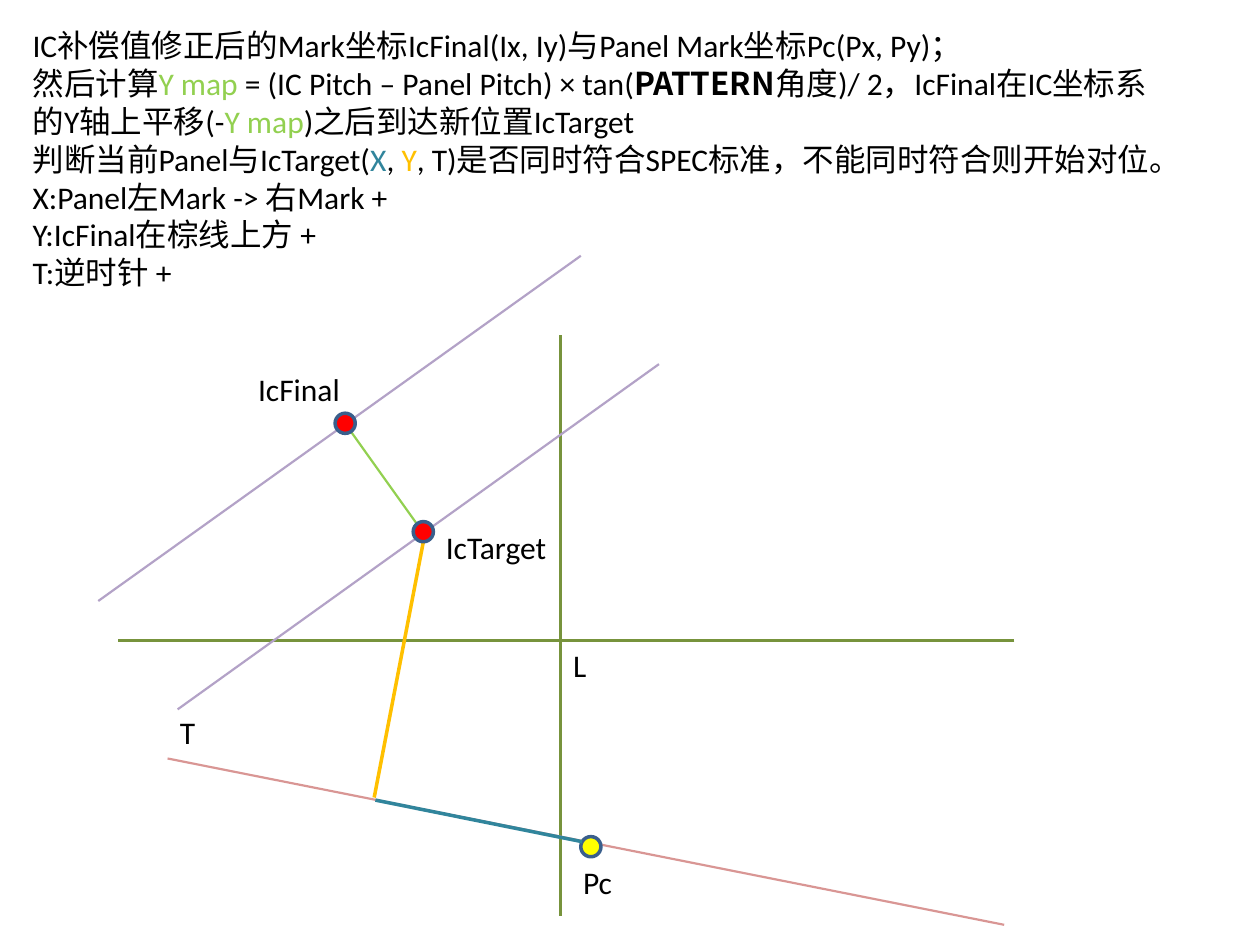
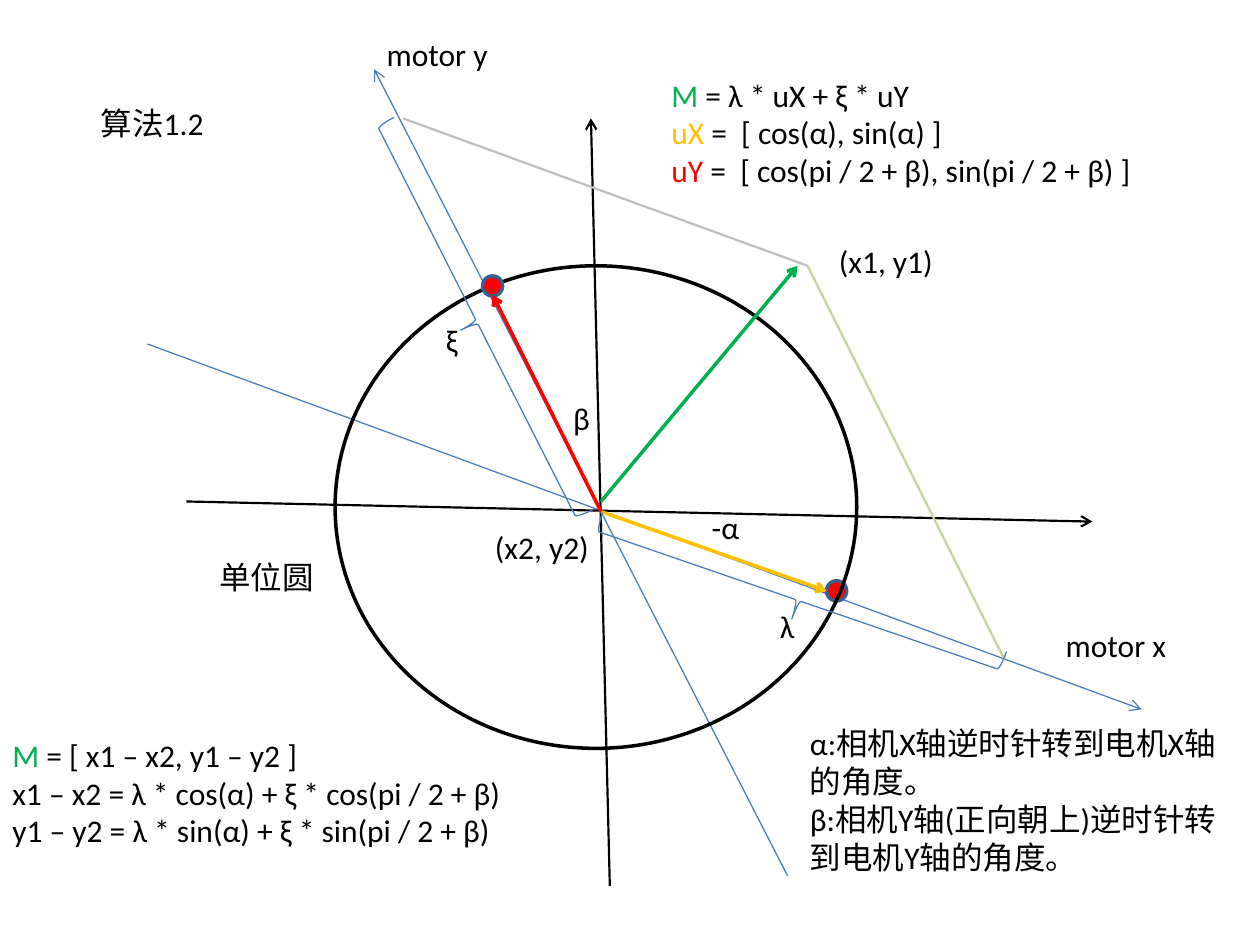
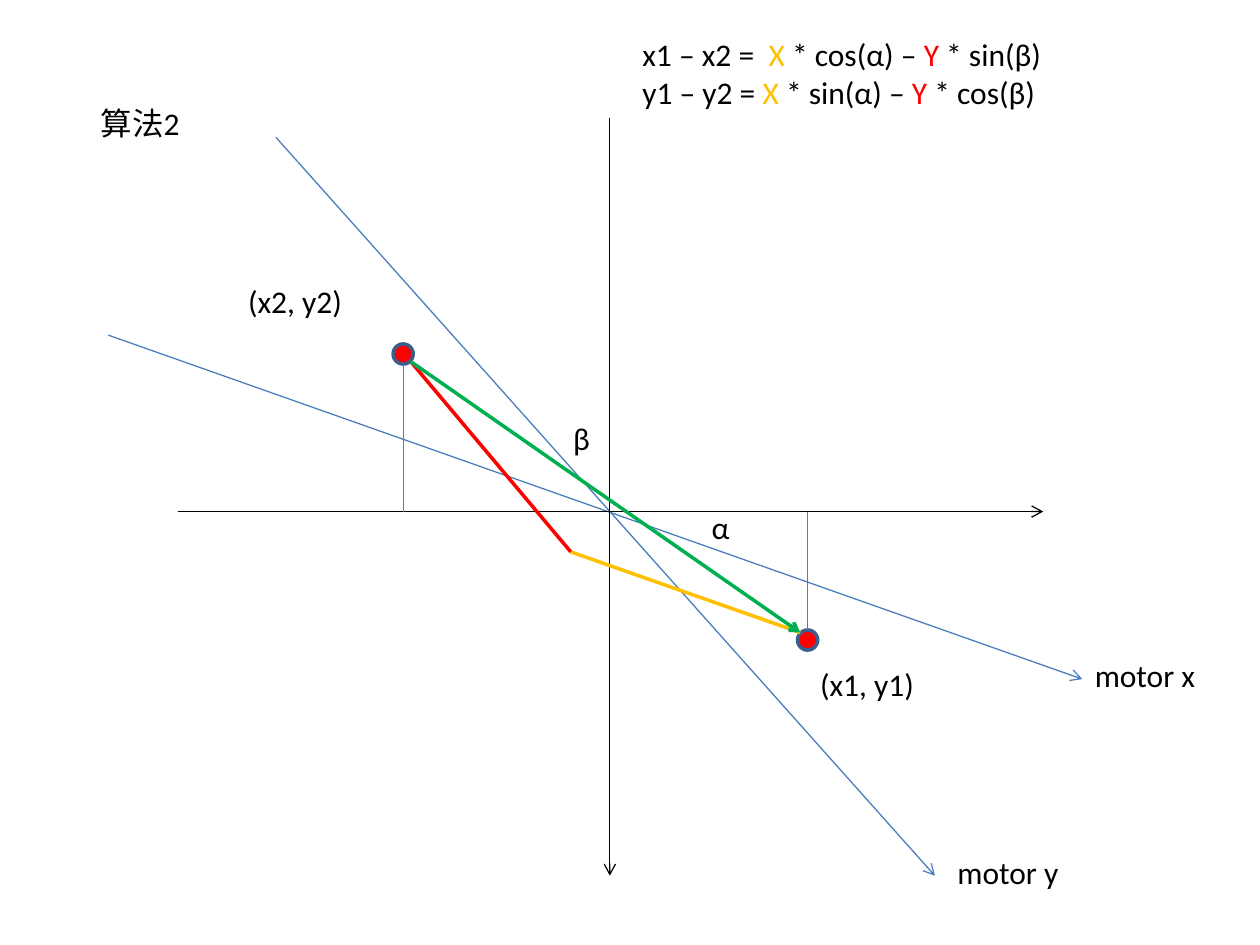
from dataclasses import dataclass
from typing import Callable, Union

import pptx
import pptx.dml.color
import pptx.enum.shapes
import pptx.enum.text
import pptx.oxml
import pptx.oxml.ns
import pptx.presentation
import pptx.shapes.autoshape
import pptx.shapes.connector
import pptx.slide
import pptx.util

RGB = pptx.dml.color.RGBColor
MSO_SHAPE = pptx.enum.shapes.MSO_SHAPE

PX = 9144
SLIDE_WIDTH, SLIDE_HEIGHT = 1000, 750
DOT_SIZE = 16

BLACK = RGB(0x00, 0x00, 0x00)
RED = RGB(0xFF, 0x00, 0x00)
YELLOW = RGB(0xFF, 0xFF, 0x00)
GOLD = RGB(0xFF, 0xC0, 0x00)
GREEN = RGB(0x00, 0xB0, 0x50)
LIME = RGB(0x92, 0xD0, 0x50)
OLIVE = RGB(0x77, 0x93, 0x3C)
PALE_OLIVE = RGB(0xC3, 0xD6, 0x9B)
TEAL = RGB(0x31, 0x85, 0x9C)
LILAC = RGB(0xB3, 0xA2, 0xC7)
ROSE = RGB(0xD9, 0x96, 0x94)
GRAY = RGB(0xBF, 0xBF, 0xBF)
BLUE = RGB(0x4B, 0x7E, 0xBC)
DOT_EDGE = RGB(0x3A, 0x5F, 0x8C)

BODY_FONT = {"name": "Calibri", "size": pptx.util.Pt(18), "bold": False}
STRONG_FONT = {"name": "Noto Sans CJK KR", "size": pptx.util.Pt(18), "bold": True}
FRAME_FORMAT = {
    "word_wrap": True,
    "auto_size": pptx.enum.text.MSO_AUTO_SIZE.SHAPE_TO_FIT_TEXT,
}


@dataclass(frozen=True)
class Run:
    text: str
    color: RGB = BLACK
    strong: bool = False


Paragraph = tuple[Union[str, Run], ...]


@dataclass(frozen=True)
class Label:
    left: int
    top: int
    width: int
    height: int
    paragraphs: tuple[Paragraph, ...]


@dataclass(frozen=True)
class Segment:
    start: tuple[int, int]
    end: tuple[int, int]
    color: RGB
    weight: float
    arrow: str = ""


@dataclass(frozen=True)
class Dot:
    left: int
    top: int
    fill: RGB = RED


@dataclass(frozen=True)
class Outline:
    kind: MSO_SHAPE
    left: int
    top: int
    width: int
    height: int
    color: RGB
    weight: float
    rotation: float = 0


Item = Union[Label, Segment, Dot, Outline]


def word(left: int, top: int, text: str, width: int = 109) -> Label:
    return Label(left, top, width, 40, ((text,),))


def apply_format(target: object, values: dict[str, object]) -> None:
    for name, value in values.items():
        setattr(target, name, value)


def draw_label(slide: pptx.slide.Slide, label: Label) -> None:
    box = slide.shapes.add_textbox(
        label.left * PX, label.top * PX, label.width * PX, label.height * PX
    )
    frame = box.text_frame
    apply_format(frame, FRAME_FORMAT)
    for index, pieces in enumerate(label.paragraphs):
        paragraph = frame.add_paragraph() if index else frame.paragraphs[0]
        for piece in pieces:
            wording = Run(piece) if isinstance(piece, str) else piece
            run = paragraph.add_run()
            run.text = wording.text
            apply_format(run.font, STRONG_FONT if wording.strong else BODY_FONT)
            run.font.color.rgb = wording.color


def set_line(
    shape: Union[pptx.shapes.autoshape.Shape, pptx.shapes.connector.Connector],
    color: RGB,
    weight: float,
) -> None:
    shape.line.color.rgb = color
    shape.line.width = pptx.util.Pt(weight)


def draw_segment(slide: pptx.slide.Slide, segment: Segment) -> None:
    ends = [value * PX for value in segment.start + segment.end]
    connector = slide.shapes.add_connector(
        pptx.enum.shapes.MSO_CONNECTOR.STRAIGHT, *ends
    )
    set_line(connector, segment.color, segment.weight)
    properties = connector.line._get_or_add_ln()
    if segment.arrow:
        tip = pptx.oxml.parse_xml(
            f'<a:{segment.arrow} {pptx.oxml.ns.nsdecls("a")} type="arrow"/>'
        )
        properties.append(tip)
    properties.addnext(
        pptx.oxml.parse_xml(f'<a:effectLst {pptx.oxml.ns.nsdecls("a")}/>')
    )


def draw_outline(
    slide: pptx.slide.Slide, outline: Outline
) -> pptx.shapes.autoshape.Shape:
    shape = slide.shapes.add_shape(
        outline.kind,
        outline.left * PX,
        outline.top * PX,
        outline.width * PX,
        outline.height * PX,
    )
    shape.shadow.inherit = False
    shape.rotation = outline.rotation
    shape.fill.background()
    set_line(shape, outline.color, outline.weight)
    return shape


def draw_dot(slide: pptx.slide.Slide, dot: Dot) -> None:
    circle = draw_outline(
        slide,
        Outline(MSO_SHAPE.OVAL, dot.left, dot.top, DOT_SIZE, DOT_SIZE, DOT_EDGE, 2),
    )
    circle.fill.solid()
    circle.fill.fore_color.rgb = dot.fill


DRAW: dict[type, Callable] = {
    Label: draw_label,
    Segment: draw_segment,
    Dot: draw_dot,
    Outline: draw_outline,
}

ALIGNMENT: list[Item] = [
    Segment((805, 508), (94, 508), OLIVE, 1.75),
    Segment((445, 266), (445, 727), OLIVE, 1.75),
    word(344, 414, "IcTarget", 117),
    word(445, 508, "L", 47),
    Label(16, 16, 922, 222, (
        ("IC补偿值修正后的Mark坐标IcFinal(Ix, Iy)与Panel Mark坐标Pc(Px, Py)；",),
        (
            "然后计算",
            Run("Y map", LIME),
            " = (IC Pitch – Panel Pitch) × tan(",
            Run("PATTERN", strong=True),
            "角度)/ 2，IcFinal在IC坐标系的Y轴上平移(-",
            Run("Y map", LIME),
            ")之后到达新位置IcTarget",
        ),
        (
            "判断当前Panel与IcTarget(",
            Run("X", TEAL),
            ", ",
            Run("Y", GOLD),
            ", T)是否同时符合SPEC标准，不能同时符合则开始对位。",
        ),
        ("X:Panel左Mark -> 右Mark +",),
        ("Y:IcFinal在棕线上方 +",),
        ("T:逆时针 +",),
    )),
    Segment((523, 289), (141, 563), LILAC, 1.25),
    Segment((797, 734), (133, 602), ROSE, 1.25),
    Dot(461, 664, YELLOW),
    word(453, 680, "Pc", 47),
    Segment((297, 633), (336, 430), GOLD, 2),
    word(133, 561, "T", 47),
    Segment((462, 668), (298, 635), TEAL, 2),
    Segment((461, 203), (78, 477), LILAC, 1.25),
    Segment((336, 423), (276, 339), LIME, 1.25),
    Dot(266, 328),
    Dot(328, 414),
    word(195, 289, "IcFinal", 94),
]

UNIT_CIRCLE: list[Item] = [
    Segment((117, 273), (906, 563), BLUE, 0.75, "tailEnd"),
    Segment((297, 55), (625, 695), BLUE, 0.75, "headEnd"),
    Dot(656, 461),
    word(836, 492, "motor x"),
    word(297, 23, "motor y"),
    Label(523, 55, 422, 101, (
        (Run("M", GREEN), " = λ * uX + ξ * uY"),
        (Run("uX", GOLD), " =  [ cos(α), sin(α) ]"),
        (Run("uY", RED), " =  [ cos(pi / 2 + β), sin(pi / 2 + β) ]"),
    )),
    Outline(MSO_SHAPE.OVAL, 266, 211, 414, 383, BLACK, 2),
    Segment((148, 398), (867, 414), BLACK, 1.25, "tailEnd"),
    Segment((469, 94), (484, 703), BLACK, 1.25, "headEnd"),
    word(555, 398, "-α", 55),
    Segment((477, 406), (656, 469), GOLD, 2, "tailEnd"),
    Dot(383, 219),
    Segment((477, 406), (391, 234), RED, 2, "tailEnd"),
    word(445, 312, "β", 55),
    Segment((477, 398), (633, 211), GREEN, 2, "tailEnd"),
    Segment((641, 211), (797, 523), PALE_OLIVE, 1.25),
    Segment((320, 94), (641, 211), GRAY, 1.25),
    Label(0, 579, 523, 101, (
        (Run("M", GREEN), " = [ x1 – x2, y1 – y2 ]"),
        ("x1 – x2 = λ * cos(α) + ξ * cos(pi / 2 + β)",),
        ("y1 – y2 = λ * sin(α) + ξ * sin(pi / 2 + β)",),
    )),
    word(656, 187, "(x1, y1)"),
    word(383, 414, "(x2, y2)"),
    word(164, 438, "单位圆"),
    word(70, 78, "算法1.2", 211),
    Outline(MSO_SHAPE.LEFT_BRACE, 364, 81, 29, 349, BLUE, 0.75, 333.1),
    word(344, 250, "ξ", 55),
    Outline(MSO_SHAPE.LEFT_BRACE, 618, 307, 31, 339, BLUE, 0.75, 289),
    word(609, 477, "λ", 55),
    Label(633, 570, 359, 162, (
        ("α:相机X轴逆时针转到电机X轴的角度。",),
        ("β:相机Y轴(正向朝上)逆时针转到电机Y轴的角度。",),
    )),
]

MOTOR_AXES: list[Item] = [
    Segment((86, 266), (859, 539), BLUE, 0.75, "tailEnd"),
    Segment((219, 109), (742, 695), BLUE, 0.75, "tailEnd"),
    Dot(312, 273),
    Dot(633, 500),
    word(859, 516, "motor x"),
    word(750, 672, "motor y"),
    Segment((141, 406), (828, 406), BLACK, 0.75, "tailEnd"),
    Segment((484, 94), (484, 695), BLACK, 0.75, "tailEnd"),
    Segment((641, 500), (641, 406), BLUE, 0.75),
    Segment((453, 438), (635, 502), GOLD, 2),
    word(555, 398, "α", 55),
    Label(500, 23, 477, 71, (
        ("x1 – x2 =", Run("  X", GOLD), " * cos(α) – ", Run("Y", RED), " * sin(β)"),
        ("y1 – y2 = ", Run("X", GOLD), " * sin(α) – ", Run("Y", RED), " * cos(β)"),
    )),
    word(641, 523, "(x1, y1)"),
    word(187, 219, "(x2, y2)"),
    Segment((453, 438), (326, 287), RED, 2),
    Segment((320, 406), (320, 289), BLUE, 0.75),
    word(445, 328, "β", 55),
    word(70, 78, "算法2", 133),
    Segment((326, 287), (635, 502), GREEN, 2, "tailEnd"),
]


def add_diagram(deck: pptx.presentation.Presentation, items: list[Item]) -> None:
    slide = deck.slides.add_slide(deck.slide_layouts[6])
    for item in items:
        DRAW[type(item)](slide, item)


def main() -> None:
    deck = pptx.Presentation()
    deck.slide_width = SLIDE_WIDTH * PX
    deck.slide_height = SLIDE_HEIGHT * PX
    for items in (ALIGNMENT, UNIT_CIRCLE, MOTOR_AXES):
        add_diagram(deck, items)
    deck.save("out.pptx")


if __name__ == "__main__":
    main()
